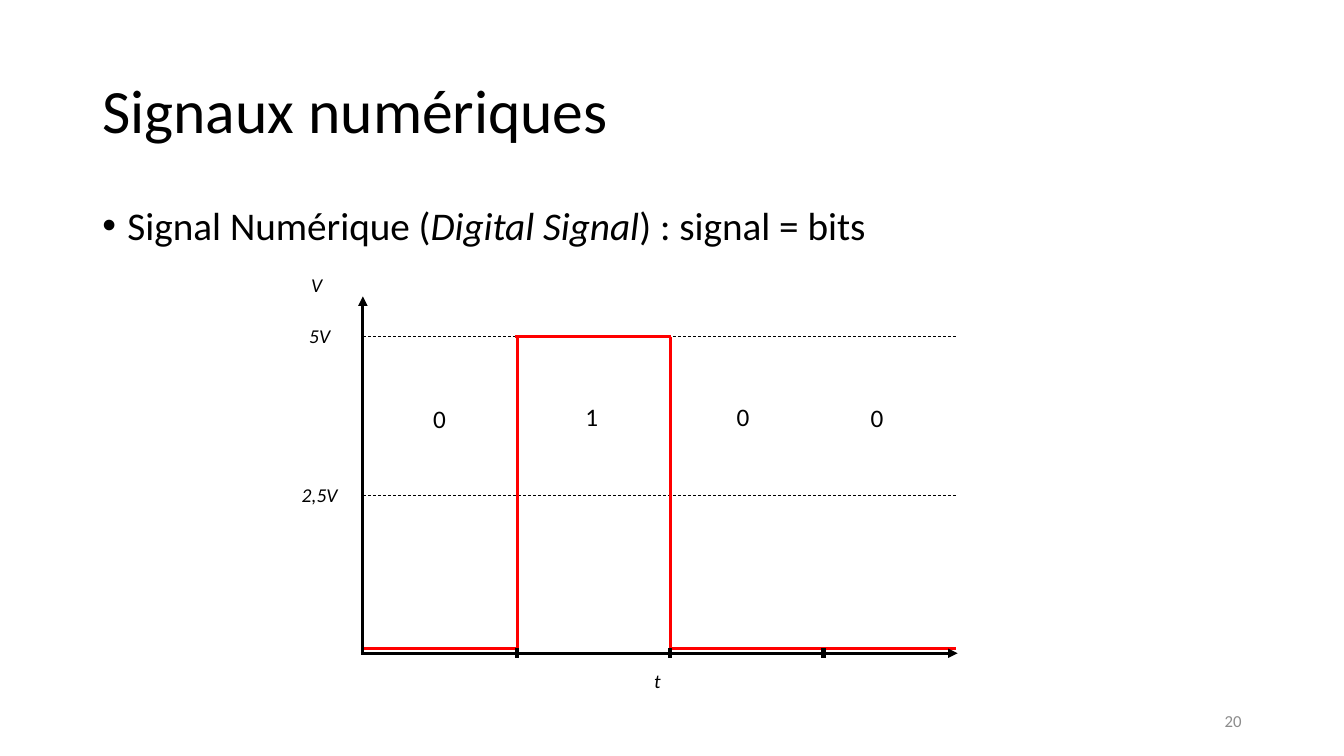
from dataclasses import dataclass

from lxml import etree
from pptx import Presentation
from pptx import util as u
from pptx.dml.color import RGBColor
from pptx.enum import dml, shapes, text
from pptx.oxml import ns

BLACK = RGBColor(0x00, 0x00, 0x00)
RED = RGBColor(0xFF, 0x00, 0x00)
GREY = RGBColor(0x8C, 0x8C, 0x8C)
FONT = "Calibri"

AXIS_X = 259.2
AXIS_Y = 466.6
AXIS_END = 684
HIGH_Y = 240.5
MIDDLE_Y = 353.5
LOW_Y = 463
TICKS = [369.4 + 109.4 * index for index in range(3)]
RISE, FALL, _ = TICKS


@dataclass(frozen=True)
class Label:
    content: tuple[str, ...]
    left: float
    top: float
    width: float
    height: float
    size: float
    italic_runs: tuple[int, ...] = ()
    color: RGBColor = BLACK
    align: text.PP_ALIGN = text.PP_ALIGN.CENTER
    anchor: text.MSO_ANCHOR = text.MSO_ANCHOR.TOP
    line_spacing: float = 1.0
    space_before: float = 0
    bullet: bool = False
    grows: bool = False


@dataclass(frozen=True)
class Line:
    start_x: float
    start_y: float
    end_x: float
    end_y: float
    color: RGBColor = BLACK
    width: float = 2.25
    dashed: bool = False
    arrow: bool = False


def axis_label(content: str, left: float, top: float) -> Label:
    return Label((content,), left, top, 124, 24.2, 14, italic_runs=(0,), grows=True)


def bit_label(content: str, left: float, top: float) -> Label:
    return Label((content,), left, top, 39, 29.1, 18, grows=True)


def signal(start_x: float, start_y: float, end_x: float, end_y: float) -> Line:
    return Line(start_x, start_y, end_x, end_y, RED)


LABELS = [
    Label(("Signaux numériques",), 66, 28.8, 828, 104.4, 44,
          align=text.PP_ALIGN.LEFT, anchor=text.MSO_ANCHOR.MIDDLE, line_spacing=0.9),
    Label(("Signal Numérique (", "Digital Signal", ") : signal = bits"),
          66, 143.8, 828, 342.6, 28, italic_runs=(1,), align=text.PP_ALIGN.LEFT,
          line_spacing=0.9, space_before=10, bullet=True),
    axis_label("t", 407.6, 474.6),
    axis_label("V", 164.2, 191.6),
    axis_label("2,5V", 166.4, 341.4),
    axis_label("5V", 166.4, 228.2),
    bit_label("0", 294.5, 284.4),
    bit_label("1", 403.2, 283),
    bit_label("0", 511.2, 283),
    bit_label("0", 607, 283.7),
    Label(("20",), 678, 500.5, 216, 28.8, 12, color=GREY,
          align=text.PP_ALIGN.RIGHT, anchor=text.MSO_ANCHOR.MIDDLE),
]

LINES = [
    *(Line(AXIS_X, level, AXIS_END, level, width=0.5, dashed=True)
      for level in (MIDDLE_Y, HIGH_Y)),
    signal(AXIS_X, LOW_Y, RISE + 0.7, LOW_Y),
    signal(RISE - 1.2, HIGH_Y, FALL + 0.7, HIGH_Y),
    signal(FALL - 0.7, LOW_Y, AXIS_END - 1.4, LOW_Y),
    signal(RISE, HIGH_Y, RISE, LOW_Y),
    signal(FALL, HIGH_Y, FALL, LOW_Y),
    Line(AXIS_X - 1.4, AXIS_Y, AXIS_END, AXIS_Y, arrow=True),
    Line(AXIS_X, AXIS_Y + 0.7, AXIS_X, 211.7, arrow=True),
    *(Line(tick, LOW_Y, tick, 470.2, width=3) for tick in TICKS),
]


def draw_label(slide, label: Label) -> None:
    shape = slide.shapes.add_textbox(
        u.Pt(label.left), u.Pt(label.top), u.Pt(label.width), u.Pt(label.height))
    frame = shape.text_frame
    frame.word_wrap = True
    frame.vertical_anchor = label.anchor
    if label.grows:
        frame.auto_size = text.MSO_AUTO_SIZE.SHAPE_TO_FIT_TEXT
    paragraph = frame.paragraphs[0]
    paragraph.text = label.content[0]
    for part in label.content[1:]:
        paragraph.add_run().text = part
    paragraph.alignment = label.align
    paragraph.line_spacing = label.line_spacing
    paragraph.space_before = u.Pt(label.space_before)
    if label.bullet:
        properties = paragraph._p.get_or_add_pPr()
        properties.set("marL", str(u.Pt(18)))
        properties.set("indent", str(-u.Pt(18)))
        etree.SubElement(properties, ns.qn("a:buFont")).set("typeface", "Arial")
        etree.SubElement(properties, ns.qn("a:buChar")).set("char", "•")
    for index, run in enumerate(paragraph.runs):
        run.font.name = FONT
        run.font.size = u.Pt(label.size)
        run.font.color.rgb = label.color
        run.font.italic = index in label.italic_runs


def draw_line(slide, line: Line) -> None:
    connector = slide.shapes.add_connector(
        shapes.MSO_CONNECTOR.STRAIGHT,
        u.Pt(line.start_x), u.Pt(line.start_y), u.Pt(line.end_x), u.Pt(line.end_y))
    connector.line.color.rgb = line.color
    connector.line.width = u.Pt(line.width)
    if line.dashed:
        connector.line.dash_style = dml.MSO_LINE.DASH
    properties = connector._element.spPr
    if line.arrow:
        outline = properties.find(ns.qn("a:ln"))
        etree.SubElement(outline, ns.qn("a:tailEnd")).set("type", "triangle")
    etree.SubElement(properties, ns.qn("a:effectLst"))


def main() -> None:
    presentation = Presentation()
    presentation.slide_width = u.Pt(960)
    presentation.slide_height = u.Pt(540)
    slide = presentation.slides.add_slide(presentation.slide_layouts[6])
    for line in LINES:
        draw_line(slide, line)
    for label in LABELS:
        draw_label(slide, label)
    presentation.save("out.pptx")


if __name__ == "__main__":
    main()
